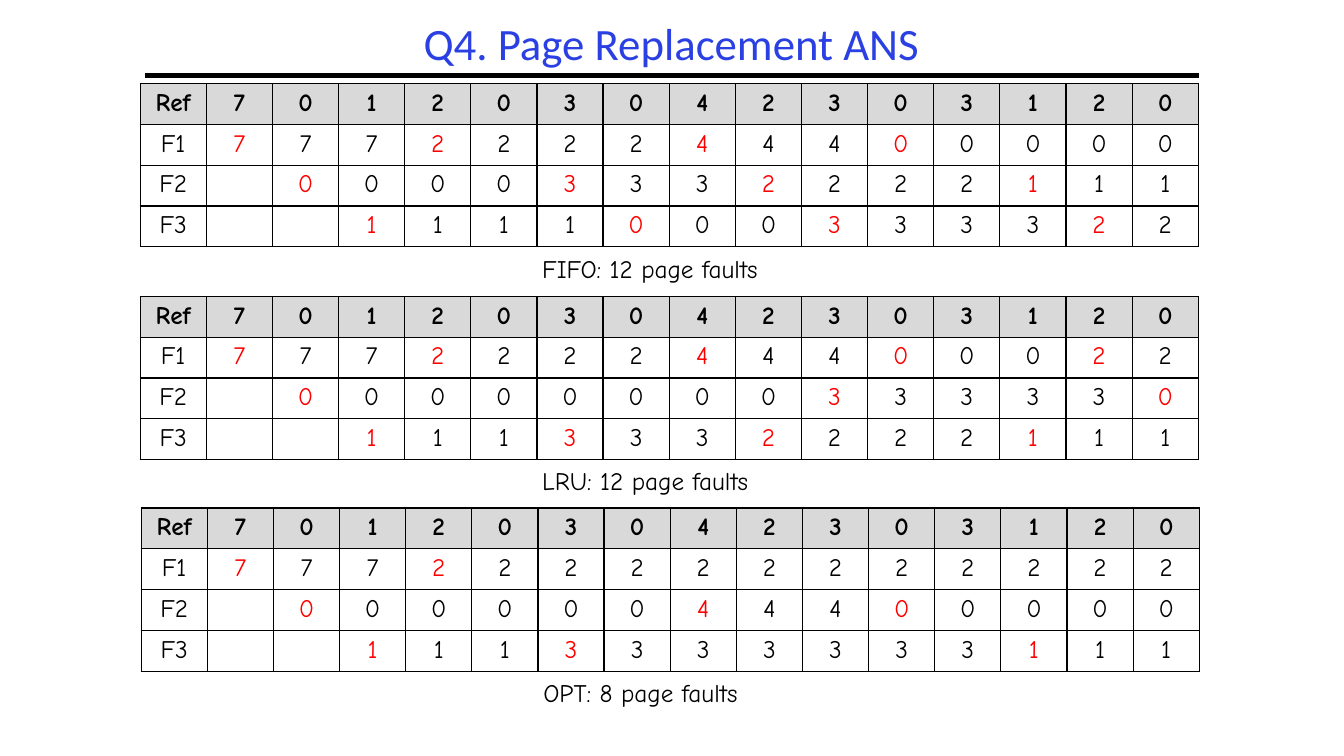
"""Build the slide with the page replacement answers."""
import pptx
import pptx.dml.color
import pptx.enum.shapes
import pptx.enum.text
import pptx.oxml.xmlchemy
import pptx.util
from lxml import etree
from pptx.oxml.ns import qn

EMU_PER_PX = 9144
COLORS = {"title": "2A40E2", "ink": "000000", "fault": "FF0000", "header": "D9D9D9"}
TITLE_FONT = "Calibri"
BODY_FONT = "Comic Neue"
CENTER = pptx.enum.text.PP_ALIGN.CENTER
MIDDLE = pptx.enum.text.MSO_ANCHOR.MIDDLE

REFERENCES = "701203042303120"
TABLE_WIDTH, TABLE_HEIGHT = 1050, 162
CAPTION_OFFSET = 389
POLICIES = [
    (139, 83, "FIFO: 12 page faults", 280,
     ["777222244400000", "00003332222111", "1111000333322"]),
    (139, 294, "LRU: 12 page faults", 250,
     ["777222244400022", "00000000333330", "1113332222111"]),
    (140, 504, "OPT: 8 page faults", 250,
     ["777222222222222", "00000044400000", "1113333333111"]),
]


def px(length):
    """Turn pixels into EMU."""
    return pptx.util.Emu(length * EMU_PER_PX)


def rgb(name):
    """Look up a named colour."""
    return pptx.dml.color.RGBColor.from_string(COLORS[name])


def add_run(paragraph, text, size=18, font=BODY_FONT, color="ink", bold=False):
    """Append one styled run."""
    run = paragraph.add_run()
    run.text = text
    run.font.size = pptx.util.Pt(size)
    run.font.name = font
    run.font.bold = bold
    run.font.color.rgb = rgb(color)


def add_text_frame(slide, left, top, width, height):
    """Add a wrapping text box and return its text frame."""
    frame = slide.shapes.add_textbox(px(left), px(top), px(width), px(height)).text_frame
    frame.word_wrap = True
    return frame


def add_title(slide, text):
    """Add the centred title and the rule under it."""
    rule = slide.shapes.add_connector(
        pptx.enum.shapes.MSO_CONNECTOR.STRAIGHT, px(144), px(75), px(1189), px(75))
    rule.line.color.rgb = rgb("ink")
    rule.line.width = pptx.util.Pt(3)
    etree.SubElement(rule._element.spPr, qn("a:effectLst"))
    frame = add_text_frame(slide, 144, 17, 1044, 58)
    frame.vertical_anchor = MIDDLE
    heading = frame.paragraphs[0]
    heading.alignment = CENTER
    heading.line_spacing = 0.9
    add_run(heading, text, 32, TITLE_FONT, "title")


def add_borders(cell):
    """Draw a thin line on all four sides of a cell."""
    properties = cell._tc.get_or_add_tcPr()
    for side in ("lnL", "lnR", "lnT", "lnB"):
        border = etree.SubElement(properties, qn(f"a:{side}"), w=str(pptx.util.Pt(1)))
        fill = etree.SubElement(border, qn("a:solidFill"))
        etree.SubElement(fill, qn("a:srgbClr"), val=COLORS["ink"])


def fill_cell(cell, text, header, fault):
    """Write and style one cell."""
    add_borders(cell)
    if header:
        cell.fill.solid()
        cell.fill.fore_color.rgb = rgb("header")
    else:
        cell.fill.background()
    entry = cell.text_frame.paragraphs[0]
    entry.alignment = CENTER
    if text:
        add_run(entry, text, color="fault" if fault else "ink", bold=header)


def add_policy_table(slide, left, top, frames):
    """Add a reference table, marking each newly loaded page as a fault."""
    rows = [["Ref", *REFERENCES]]
    for number, pages in enumerate(frames, 1):
        rows.append([f"F{number}", *[""] * (len(REFERENCES) - len(pages)), *pages])
    table = slide.shapes.add_table(
        len(rows), len(rows[0]), px(left), px(top), px(TABLE_WIDTH), px(TABLE_HEIGHT)).table
    table.first_row = table.horz_banding = False
    for column in table.columns:
        column.width = px(TABLE_WIDTH) // len(rows[0])
    for row in table.rows:
        row.height = px(TABLE_HEIGHT) // len(rows)
    for r, row in enumerate(rows):
        for c, page in enumerate(row):
            fault = r > 0 and c > 0 and (c == 1 or page != row[c - 1])
            fill_cell(table.cell(r, c), page, r == 0, fault)


def add_caption(slide, left, top, width, text):
    """Add the fault count under a table."""
    add_run(add_text_frame(slide, left, top, width, 40).paragraphs[0], text)


def main():
    """Build and save the slide."""
    deck = pptx.Presentation()
    deck.slide_width, deck.slide_height = px(1333), px(750)
    slide = deck.slides.add_slide(deck.slide_layouts[6])
    add_title(slide, "Q4. Page Replacement ANS")
    for left, top, caption, caption_width, frames in POLICIES:
        add_policy_table(slide, left, top, frames)
        add_caption(slide, left + CAPTION_OFFSET, top + TABLE_HEIGHT + 1, caption_width, caption)
    deck.save("out.pptx")


if __name__ == "__main__":
    main()
